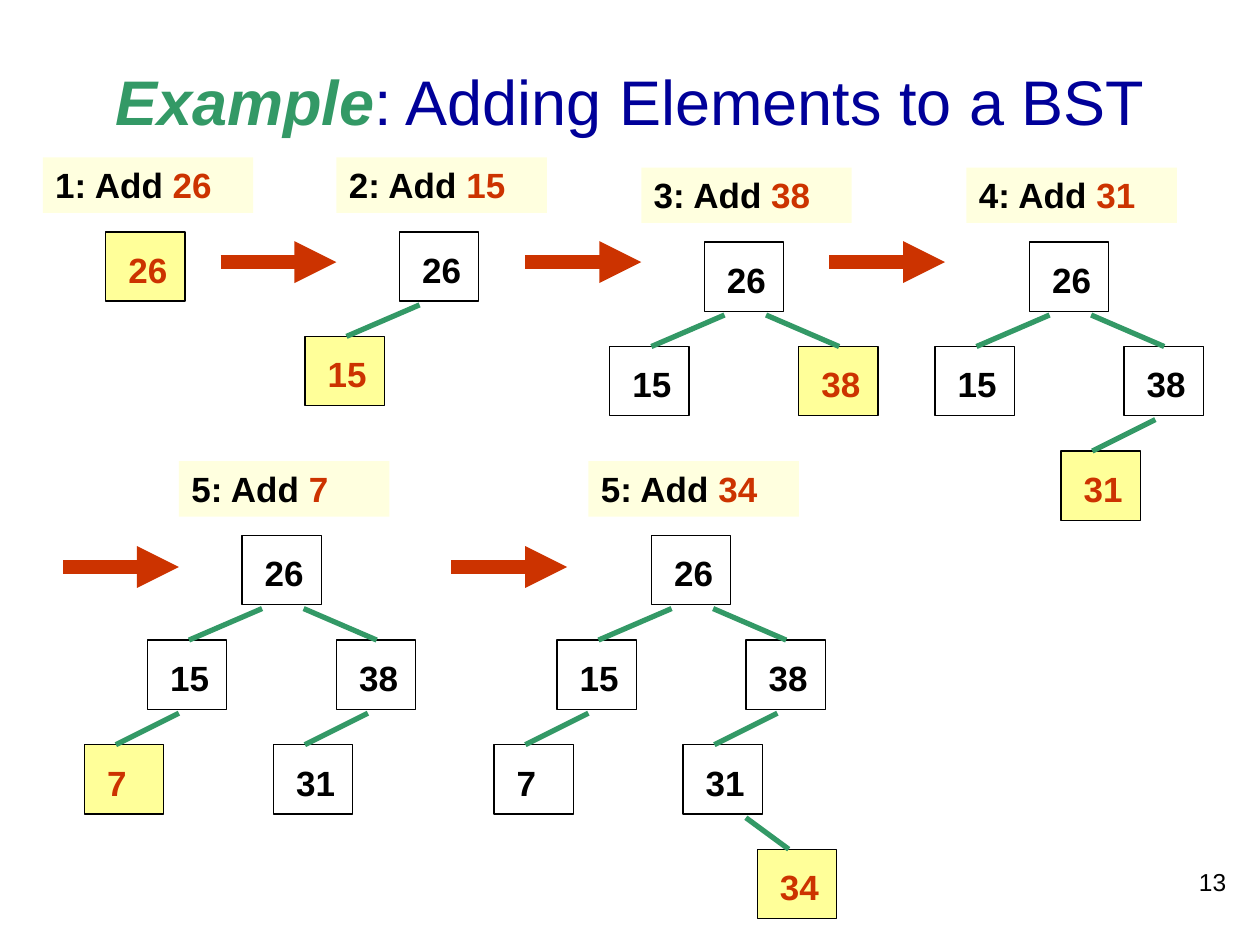
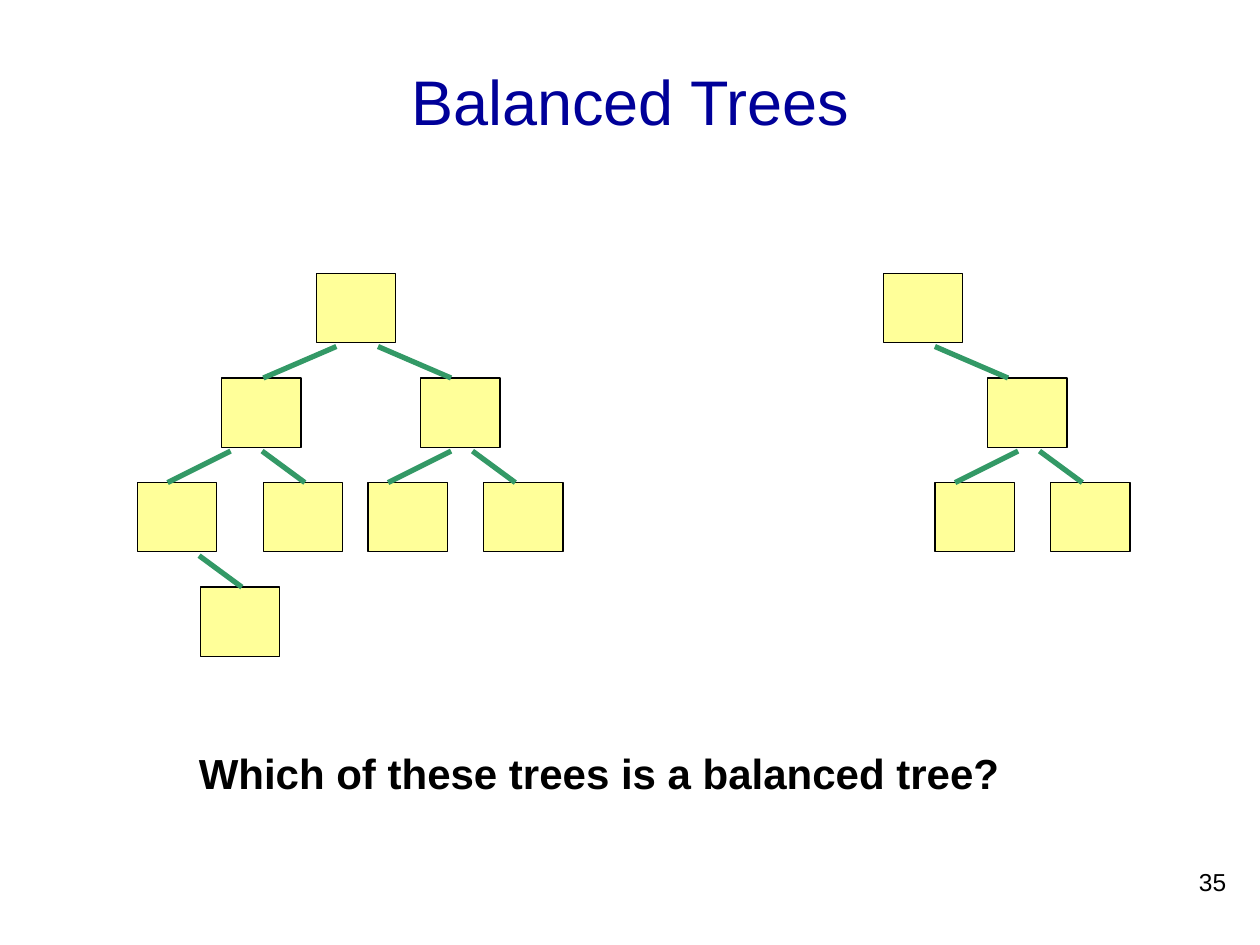
import pptx
import pptx.util
import pptx.dml.color
import pptx.enum.shapes
import pptx.enum.text
import lxml.etree
from pptx.util import Inches

FONT = "Arial"
COLORS = {"title": "000099", "green": "339966", "red": "CC3300", "black": "000000",
          "node": "FFFF99", "label": "FFFFDF"}

# Nodes in insertion order: (value, parent index, shift from parent, edge start on parent)
SEARCH_TREE = [("26", None, 0, 0), ("15", 0, -0.75, 0.16), ("38", 0, 0.75, 0.49),
               ("31", 2, -0.5, 0.25), ("7", 1, -0.5, 0.25), ("34", 3, 0.59, 0.5)]

# (step label, root left, root top); each step adds the next node
STEPS = [("1", 0.84, 1.84), ("2", 3.17, 1.84), ("3", 5.59, 1.92), ("4", 8.17, 1.92),
         ("5", 1.92, 4.25), ("5", 5.17, 4.25)]
STEP_ARROWS = [(1.75, 2.08), (4.17, 2.08), (6.58, 2.08), (0.5, 4.5), (3.58, 4.5)]

BALANCED_TREE = [("", None, 0, 0), ("", 0, -0.75, 0.16), ("", 0, 0.83, 0.49),
                 ("", 1, -0.67, 0.07), ("", 1, 0.33, 0.32),
                 ("", 2, -0.42, 0.24), ("", 2, 0.5, 0.41), ("", 3, 0.5, 0.49)]
UNBALANCED_TREE = [("", None, 0, 0), ("", 0, 0.83, 0.41),
                   ("", 1, -0.42, 0.24), ("", 1, 0.5, 0.41)]
QUESTION = "Which of these trees is a balanced tree?"

NODE_WIDTH, NODE_HEIGHT = 0.63, 0.55
LEVEL_STEP = 0.83
EDGE_HEIGHT = 0.25
ROOT_RUN, LEFT_RUN, RIGHT_RUN = 0.58, -0.5, 0.34
ARROW_LENGTH = 0.92


def rgb(name):
    return pptx.dml.color.RGBColor.from_string(COLORS[name])


def write(shape, spans, size, bold=False, align="LEFT", anchor="TOP"):
    """Fill a shape with one paragraph of (text, color, italic-bold emphasis) spans."""
    frame = shape.text_frame
    frame.word_wrap = True
    frame.vertical_anchor = getattr(pptx.enum.text.MSO_ANCHOR, anchor)
    para = frame.paragraphs[0]
    para.alignment = getattr(pptx.enum.text.PP_ALIGN, align)
    para.font.name = FONT
    para.font.size = pptx.util.Pt(size)
    para.font.bold = bold
    for text, color, emphasis in spans:
        span = para.add_run()
        span.text = text
        span.font.color.rgb = rgb(color)
        if emphasis:
            span.font.bold = span.font.italic = True


def add_text(page, area, spans, size, **style):
    box = page.shapes.add_textbox(*map(Inches, area))
    write(box, spans, size, **style)


def add_rectangle(page, area, fill=None, outline=False):
    shape = page.shapes.add_shape(pptx.enum.shapes.MSO_SHAPE.RECTANGLE, *map(Inches, area))
    shape.shadow.inherit = False
    if fill:
        shape.fill.solid()
        shape.fill.fore_color.rgb = rgb(fill)
    else:
        shape.fill.background()
    if outline:
        shape.line.color.rgb = rgb("black")
        shape.line.width = pptx.util.Pt(0.75)
    else:
        shape.line.fill.background()
    return shape


def add_line(page, start, end, color, width, arrow=False):
    line = page.shapes.add_connector(pptx.enum.shapes.MSO_CONNECTOR.STRAIGHT,
                                     *map(Inches, start + end))
    line.line.color.rgb = rgb(color)
    line.line.width = pptx.util.Pt(width)
    namespace = pptx.oxml.ns.qn
    properties = line._element.spPr
    if arrow:
        outline = properties.find(namespace("a:ln"))
        lxml.etree.SubElement(outline, namespace("a:tailEnd"), type="triangle")
    lxml.etree.SubElement(properties, namespace("a:effectLst"))


def add_node(page, left, top, value, highlighted):
    node = add_rectangle(page, (left, top, NODE_WIDTH, NODE_HEIGHT),
                         "node" if highlighted else None, outline=True)
    if value:
        frame = node.text_frame
        frame.margin_left, frame.margin_top = Inches(0.18), Inches(0.13)
        frame.margin_right = frame.margin_bottom = 0
        write(node, [(value, "red" if highlighted else "black", False)], 20, bold=True)


def add_tree(page, nodes, left, top, highlighted):
    """Draw nodes from the root down; highlighted holds the indexes of filled nodes."""
    placed = []
    for index, (value, parent, shift, edge_start) in enumerate(nodes):
        if parent is None:
            x, level = left, 0
        else:
            parent_x, parent_level = placed[parent]
            x, level = parent_x + shift, parent_level + 1
        y = top + level * LEVEL_STEP
        placed.append((x, level))
        add_node(page, x, y, value, index in highlighted)
        if parent is not None:
            if level == 1:
                run = ROOT_RUN if shift > 0 else -ROOT_RUN
            else:
                run = RIGHT_RUN if shift > 0 else LEFT_RUN
            edge_x = parent_x + edge_start
            add_line(page, (edge_x, y - EDGE_HEIGHT), (edge_x + run, y), "green", 3)


def add_page(deck, title_spans, number):
    page = deck.slides.add_slide(deck.slide_layouts[6])
    add_text(page, (0.75, 0.17, 8.5, 1.25), title_spans, 36, align="CENTER", anchor="MIDDLE")
    add_text(page, (7.75, 6.83, 2.08, 0.5), [(number, "black", False)], 14, align="RIGHT")
    return page


def build_adding_page(deck):
    page = add_page(deck, [("Example", "green", True),
                           (": Adding Elements to a BST", "title", False)], "13")
    for index, (step, left, top) in enumerate(STEPS):
        label = add_rectangle(page, (left - 0.5, top - 0.59, 1.67, 0.44), "label")
        write(label, [(f"{step}: Add ", "black", False),
                      (SEARCH_TREE[index][0], "red", False)], 20, bold=True)
        add_tree(page, SEARCH_TREE[:index + 1], left, top, {index})
    for x, y in STEP_ARROWS:
        add_line(page, (x, y), (x + ARROW_LENGTH, y), "red", 8, arrow=True)


def build_balance_page(deck):
    page = add_page(deck, [("Balanced Trees", "title", False)], "35")
    for nodes, left in [(BALANCED_TREE, 2.51), (UNBALANCED_TREE, 7.01)]:
        add_tree(page, nodes, left, 2.17, range(len(nodes)))
    add_text(page, (1.48, 5.88, 6.93, 0.5), [(QUESTION, "black", False)], 24, bold=True)


def main():
    deck = pptx.Presentation()
    deck.slide_width, deck.slide_height = Inches(10), Inches(7.5)
    build_adding_page(deck)
    build_balance_page(deck)
    deck.save("out.pptx")


if __name__ == "__main__":
    main()
